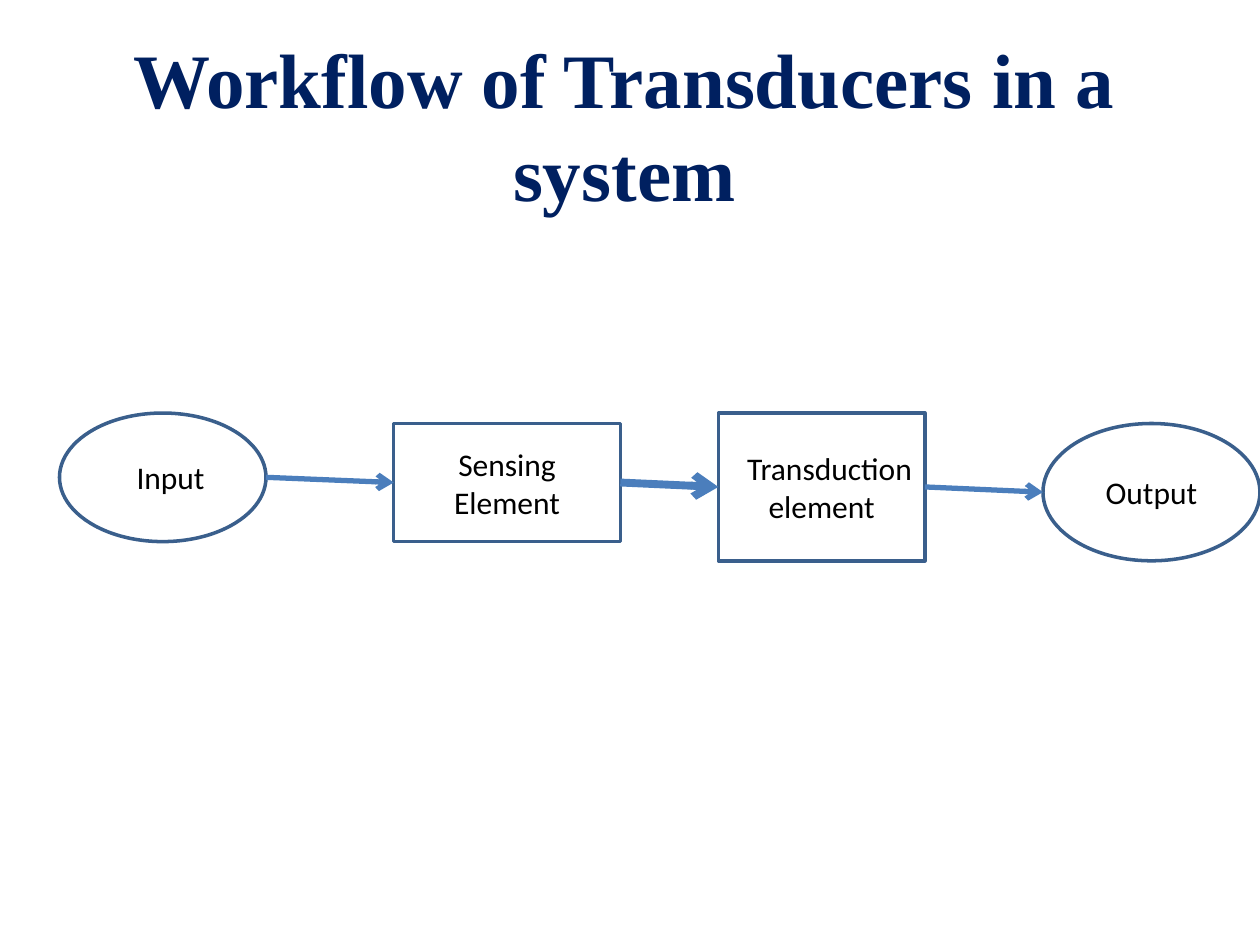
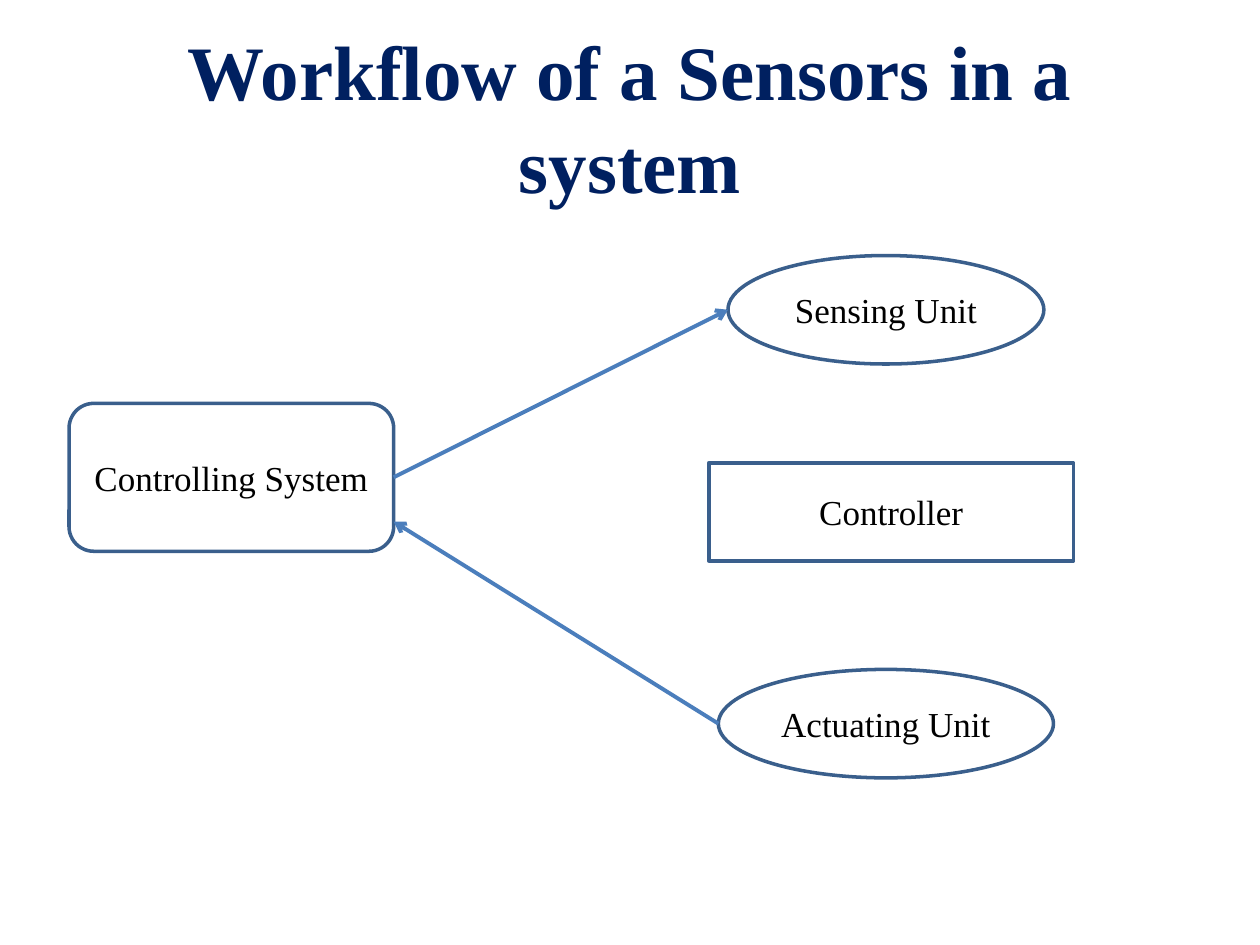
"""Build two slides showing the workflow of transducers and of sensors."""
import pptx
import pptx.dml.color
import pptx.enum.shapes
import pptx.enum.text
import pptx.oxml.ns
import pptx.util
from lxml import etree

Pt = pptx.util.Pt
SHAPES = pptx.enum.shapes.MSO_SHAPE
MIDDLE = pptx.enum.text.MSO_ANCHOR.MIDDLE
CENTER = pptx.enum.text.PP_ALIGN.CENTER
OVAL, RECT, ROUND = SHAPES.OVAL, SHAPES.RECTANGLE, SHAPES.ROUNDED_RECTANGLE

SERIF, SANS = "Times New Roman", "Calibri"
NAVY, OUTLINE, ARROW, WHITE, BLACK = "002060", "3A5F8C", "4B7EBC", "FFFFFF", "000000"

# Nodes: text, shape, (left, top, width, height), first-line indent.
# Arrows: start node, side, height fraction, end node, side, height fraction, width.
SLIDES = [
    {
        "title": "Workflow of Transducers in a system",
        "title_box": (16.5, 34, 680.5, 74),
        "font": (SANS, 18),
        "nodes": [
            ("Input", OVAL, (34, 236, 118, 73.5), 9),
            ("Sensing Element", RECT, (225, 242, 129.5, 67.5), 0),
            ("Transduction element", RECT, (410.5, 236, 118, 84.5), 9),
            ("Output", OVAL, (596, 242, 124, 78.5), 0),
        ],
        "arrows": [
            ("Input", "right", 0.5, "Sensing Element", "left", 0.5, 3),
            ("Sensing Element", "right", 0.5, "Transduction element", "left", 0.5, 4.5),
            ("Transduction element", "right", 0.5, "Output", "left", 0.5, 3),
        ],
    },
    {
        "title": "Workflow of a Sensors in a system",
        "title_box": (36, 21.5, 648, 90),
        "font": (SERIF, 20),
        "nodes": [
            ("Controlling System", ROUND, (39.5, 230.5, 185.5, 84.5), 0),
            ("Sensing Unit", OVAL, (416, 146, 180.5, 62), 0),
            ("Actuating Unit", OVAL, (410.5, 382.5, 191.5, 62), 0),
            ("Controller", RECT, (405, 264.5, 208.5, 56), 0),
        ],
        "arrows": [
            ("Controlling System", "right", 0.5, "Sensing Unit", "left", 0.5, 2.25),
            ("Actuating Unit", "left", 0.5, "Controlling System", "right", 0.8, 2.25),
        ],
    },
]


def rgb(color):
    return pptx.dml.color.RGBColor.from_string(color)


def write(tf, text, font, size, color, bold=False):
    tf.text = text
    tf.word_wrap = True
    tf.vertical_anchor = MIDDLE
    p = tf.paragraphs[0]
    p.alignment = CENTER
    r = p.runs[0]
    r.font.name, r.font.size, r.font.bold = font, Pt(size), bold
    r.font.color.rgb = rgb(color)
    return p


def add_title(s, text, box):
    sp = s.shapes.title
    sp.left, sp.top, sp.width, sp.height = map(Pt, box)
    write(sp.text_frame, text, SERIF, 44, NAVY, True)
    sp.text_frame.auto_size = pptx.enum.text.MSO_AUTO_SIZE.NONE


def add_node(s, text, kind, box, indent, font):
    sp = s.shapes.add_shape(kind, *map(Pt, box))
    sp.shadow.inherit = False
    sp.fill.solid()
    sp.fill.fore_color.rgb = rgb(WHITE)
    sp.line.color.rgb = rgb(OUTLINE)
    sp.line.width = Pt(2)
    tf = sp.text_frame
    tf.margin_left = tf.margin_right = Pt(6)
    p = write(tf, text, *font, BLACK)
    if indent:
        p._p.get_or_add_pPr().set("indent", str(Pt(indent)))


def edge_point(box, side, fraction):
    left, top, width, height = box
    return Pt(left + width * (side == "right")), Pt(top + height * fraction)


def add_arrow(s, start, end, width):
    straight = pptx.enum.shapes.MSO_CONNECTOR.STRAIGHT
    sp = s.shapes.add_connector(straight, *start, *end)
    sp.line.color.rgb = rgb(ARROW)
    sp.line.width = Pt(width)
    qn = pptx.oxml.ns.qn
    etree.SubElement(sp.line._get_or_add_ln(), qn("a:tailEnd"), type="arrow")
    etree.SubElement(sp._element.spPr, qn("a:effectLst"))


def build_slide(prs, content):
    s = prs.slides.add_slide(prs.slide_layouts.get_by_name("Title Only"))
    add_title(s, content["title"], content["title_box"])
    for node in content["nodes"]:
        add_node(s, *node, content["font"])
    boxes = {text: box for text, _, box, _ in content["nodes"]}
    for a, a_side, a_at, b, b_side, b_at, width in content["arrows"]:
        start = edge_point(boxes[a], a_side, a_at)
        add_arrow(s, start, edge_point(boxes[b], b_side, b_at), width)


def main():
    prs = pptx.Presentation()
    prs.slide_width, prs.slide_height = Pt(720), Pt(540)
    for content in SLIDES:
        build_slide(prs, content)
    prs.save("out.pptx")


if __name__ == "__main__":
    main()
